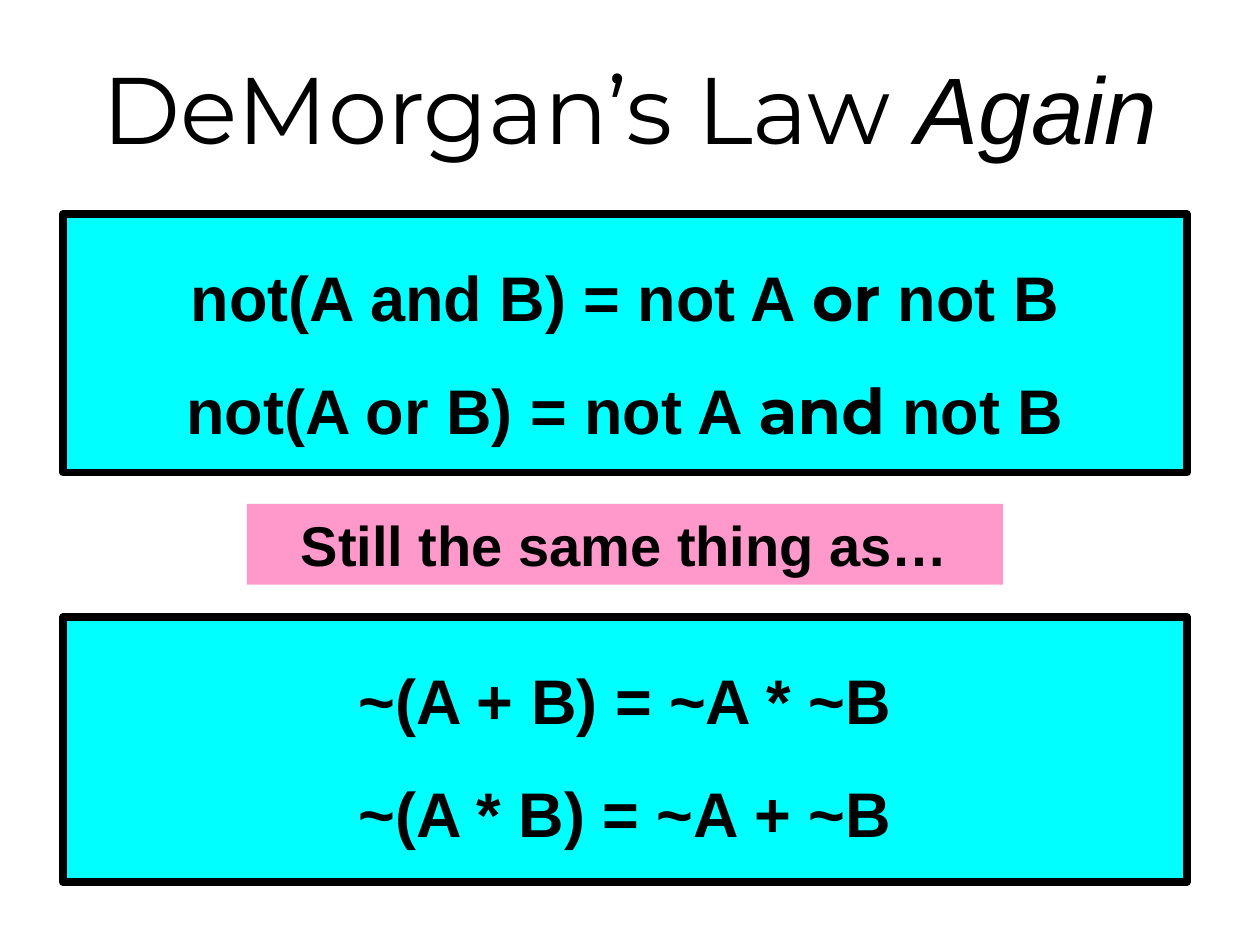
from pptx import Presentation
from pptx import util as u
from pptx.dml.color import RGBColor
from pptx.enum import shapes, text

BLACK = RGBColor(0x00, 0x00, 0x00)
CYAN = RGBColor(0x00, 0xFF, 0xFF)
PINK = RGBColor(0xFF, 0x99, 0xCC)
BODY_FONT = "Arial"
ACCENT_FONT = "Montserrat"
SLIDE_WIDTH, SLIDE_HEIGHT = u.Inches(10), u.Inches(7.5)
COLUMNS, ROWS = 100, 75  # grid cells of a tenth of an inch


class LawSlide:
    def __init__(self, presentation):
        blank = presentation.slide_layouts[6]
        self.slide = presentation.slides.add_slide(blank)

    def place(self, left, top, width, height):
        """Turn grid columns and rows into slide lengths."""
        column, row = SLIDE_WIDTH / COLUMNS, SLIDE_HEIGHT / ROWS
        return (round(left * column), round(top * row),
                round(width * column), round(height * row))

    def add_lines(self, frame, lines, size, bold=False, spacing=None):
        """Fill a frame with lines, each a list of (words, font, italic) runs."""
        frame.word_wrap = True
        for index, runs in enumerate(lines):
            paragraph = frame.paragraphs[0] if index == 0 else frame.add_paragraph()
            paragraph.alignment = text.PP_ALIGN.CENTER
            paragraph.line_spacing = spacing
            paragraph.font.size = u.Pt(size)
            paragraph.font.bold = bold
            paragraph.font.color.rgb = BLACK
            for words, font, italic in runs:
                run = paragraph.add_run()
                run.text = words
                run.font.name = font
                run.font.italic = italic

    def title(self, area, runs):
        frame = self.slide.shapes.add_textbox(*self.place(*area)).text_frame
        frame.vertical_anchor = text.MSO_ANCHOR.MIDDLE
        self.add_lines(frame, [runs], 54)

    def box(self, area, lines, fill, size, outline=None, spacing=None):
        shape = self.slide.shapes.add_shape(
            shapes.MSO_SHAPE.RECTANGLE, *self.place(*area))
        shape.shadow.inherit = False
        shape.fill.solid()
        shape.fill.fore_color.rgb = fill
        if outline:
            shape.line.color.rgb = BLACK
            shape.line.width = u.Pt(outline)
        else:
            shape.line.fill.background()
        frame = shape.text_frame
        frame.vertical_anchor = text.MSO_ANCHOR.TOP
        frame.auto_size = text.MSO_AUTO_SIZE.SHAPE_TO_FIT_TEXT
        self.add_lines(frame, lines, size, bold=True, spacing=spacing)

    def law_box(self, top, height, lines):
        self.box((5, top, 89.2, height), lines, CYAN, 36, outline=4.5, spacing=1.5)


def plain(words):
    return words, BODY_FONT, None


def accent(words):
    return words, ACCENT_FONT, None


def main():
    presentation = Presentation()
    presentation.slide_width, presentation.slide_height = SLIDE_WIDTH, SLIDE_HEIGHT
    page = LawSlide(presentation)
    page.title((0, 0, 100, 17),
               [accent("DeMorgan’s Law "), ("Again", BODY_FONT, True)])
    page.law_box(17, 20.5, [
        [plain("not(A and B) = not A "), accent("or"), plain(" not B")],
        [plain("not(A or B) = not A "), accent("and"), plain(" not B")],
    ])
    page.law_box(49, 21, [
        [plain("~(A + B) = ~A * ~B")],
        [plain("~(A * B) = ~A + ~B")],
    ])
    page.box((19.6, 40, 60, 6.4), [[plain("Still the same thing as…")]], PINK, 32)
    presentation.save("out.pptx")


if __name__ == "__main__":
    main()
